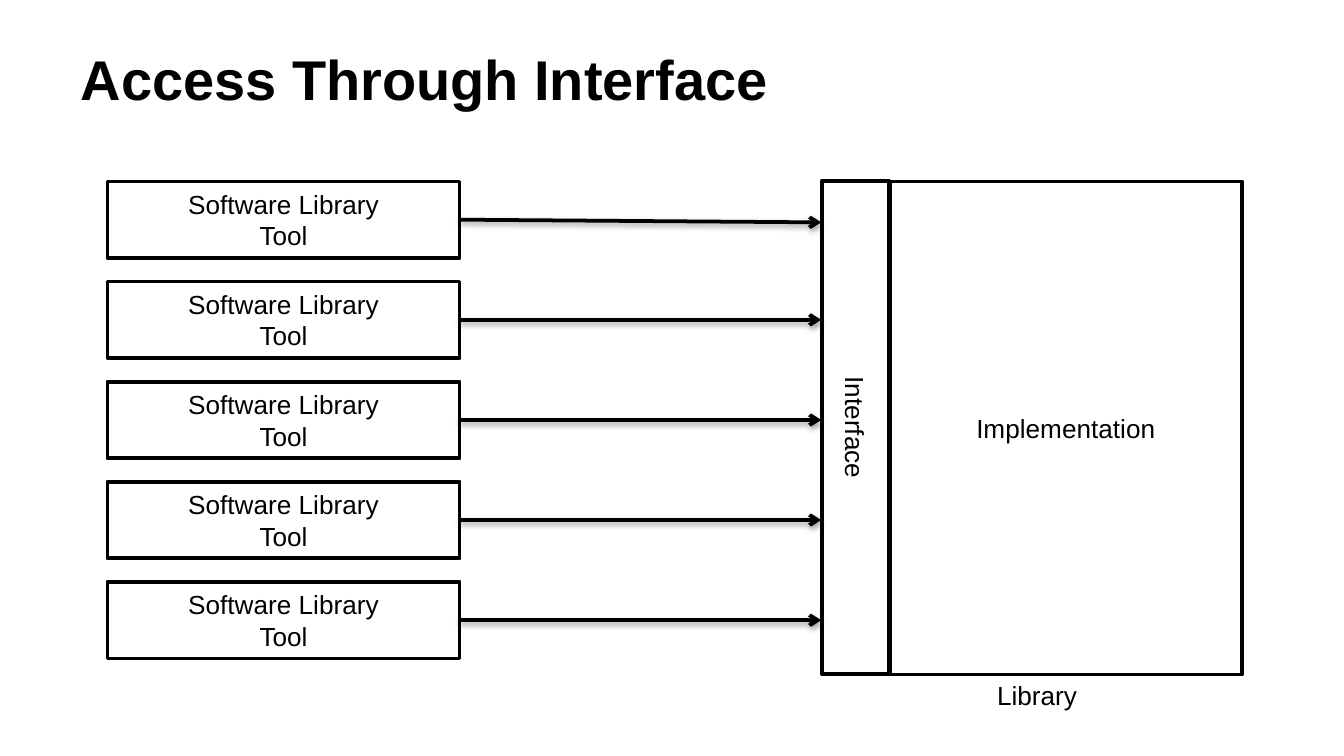
from lxml import etree
from pptx import Presentation
from pptx.dml.color import RGBColor
from pptx.enum import shapes, text
from pptx.oxml import parse_xml
from pptx.oxml.ns import nsdecls, qn
from pptx.util import Inches, Pt

COLORS = {"ink": "000000", "paper": "FFFFFF"}
INK = RGBColor.from_string(COLORS["ink"])
PAPER = RGBColor.from_string(COLORS["paper"])


def format_text(text_frame, size, bold=False, alignment=text.PP_ALIGN.LEFT):
    for paragraph in text_frame.paragraphs:
        paragraph.alignment = alignment
        for run in paragraph.runs:
            run.font.name = "Arial"
            run.font.size = Pt(size)
            run.font.bold = bold
            run.font.color.rgb = INK


def add_box(left, top, width, height, label):
    shape = slide.shapes.add_shape(
        shapes.MSO_SHAPE.RECTANGLE,
        Inches(left), Inches(top), Inches(width), Inches(height))
    shape.shadow.inherit = False
    shape.fill.solid()
    shape.fill.fore_color.rgb = PAPER
    shape.line.color.rgb = INK
    shape.line.width = Pt(2)
    shape.text_frame.text = label
    shape.text_frame.vertical_anchor = text.MSO_ANCHOR.MIDDLE
    format_text(shape.text_frame, 14, alignment=text.PP_ALIGN.CENTER)
    return shape


presentation = Presentation()
presentation.slide_width = Inches(10)
presentation.slide_height = Inches(10) * 9 // 16
slide = presentation.slides.add_slide(presentation.slide_layouts[5])

# Title
title = slide.shapes.title
title.left, title.top = Inches(0.5), Inches(0.23)
title.width, title.height = Inches(9), Inches(0.94)
title_frame = title.text_frame
title_frame.text = "Access Through Interface"
title_frame.vertical_anchor = text.MSO_ANCHOR.TOP
title_frame.margin_left = title_frame.margin_right = Inches(0.1)
title_frame.margin_top = title_frame.margin_bottom = Inches(0.1)
format_text(title_frame, 30, bold=True)

# Library: implementation behind a vertical interface strip
add_box(6.62, 1.35, 2.62, 3.67, "Implementation")
interface = add_box(4.53, 2.93, 3.67, 0.5, "Interface")
interface.rotation = 90

library = slide.shapes.add_textbox(
    Inches(7.32), Inches(5.01), Inches(0.82), Inches(0.34))
library.text_frame.text = "Library"
library.text_frame.word_wrap = False
library.text_frame.auto_size = text.MSO_AUTO_SIZE.SHAPE_TO_FIT_TEXT
format_text(library.text_frame, 14)

# Tools, evenly stacked, each reaching the library through its interface
tool_left, tool_width, tool_height = 0.8, 2.62, 0.57
first_top, last_top, tool_count = 1.35, 4.33, 5
step = (last_top - first_top) / (tool_count - 1)
tool_tops = [first_top + step * index for index in range(tool_count)]
for top in tool_tops:
    add_box(tool_left, top, tool_width, tool_height, "Software Library\nTool")

for index, top in enumerate(tool_tops):
    start_y = top + tool_height / 2
    end_y = start_y + (0.02 if index == 0 else 0)  # first arrow dips slightly
    arrow = slide.shapes.add_connector(
        shapes.MSO_CONNECTOR.STRAIGHT,
        Inches(tool_left + tool_width), Inches(start_y),
        Inches(6.11), Inches(end_y))
    arrow.line.color.rgb = INK
    arrow.line.width = Pt(2)
    etree.SubElement(arrow.line._get_or_add_ln(), qn("a:tailEnd"), type="arrow")
    arrow._element.spPr.append(parse_xml(
        f'<a:effectLst {nsdecls("a")}>'
        '<a:outerShdw blurRad="40000" dist="20000" dir="5400000" rotWithShape="0">'
        f'<a:srgbClr val="{COLORS["ink"]}"><a:alpha val="38000"/></a:srgbClr>'
        '</a:outerShdw></a:effectLst>'))

presentation.save("out.pptx")
